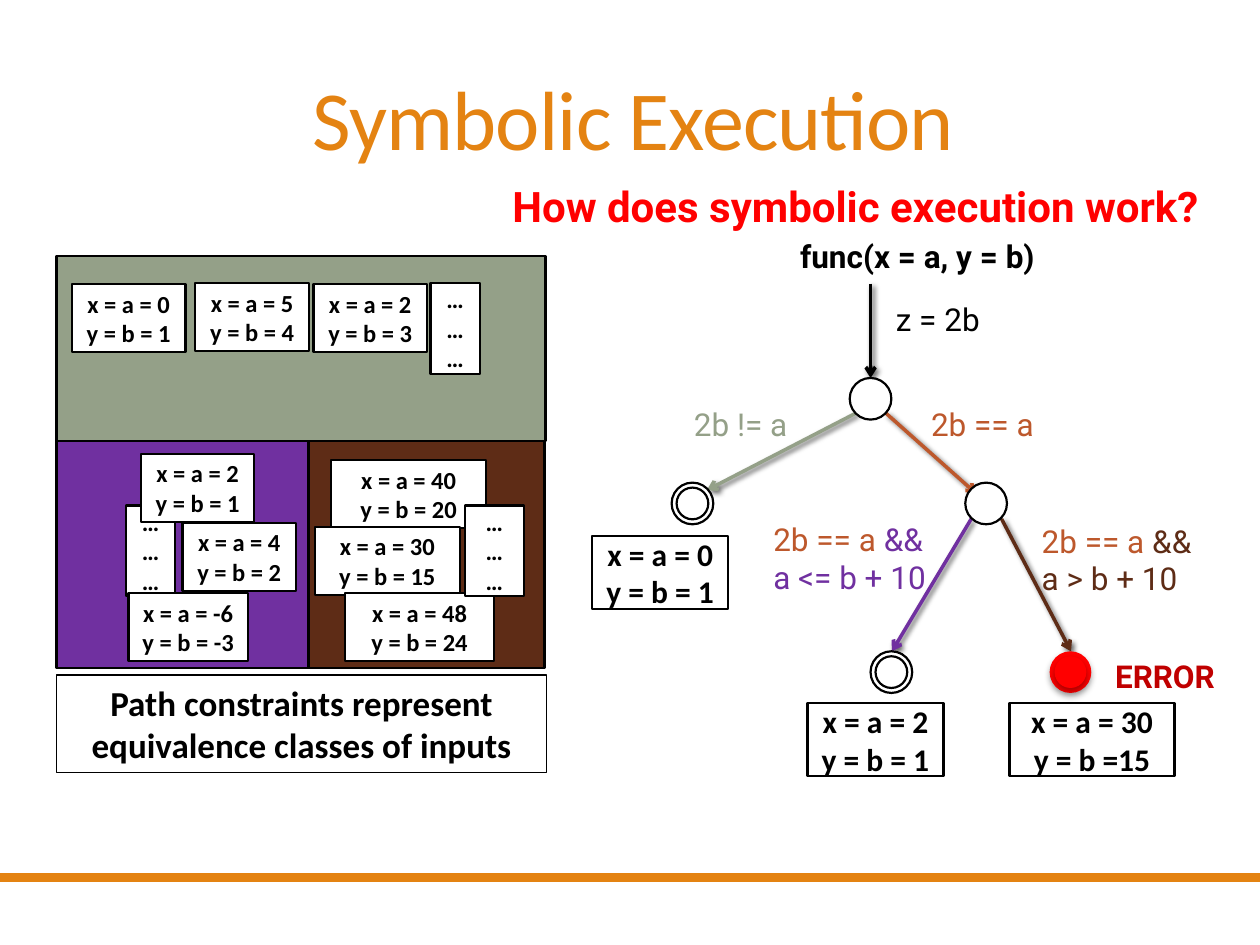
import pptx
import pptx.util
import pptx.dml.color
import pptx.enum.shapes
import pptx.enum.text
import pptx.oxml
import pptx.oxml.ns
from pptx.util import Cm

SHAPE = pptx.enum.shapes.MSO_SHAPE
ANCHOR = pptx.enum.text.MSO_ANCHOR
ALIGN = pptx.enum.text.PP_ALIGN
AUTO = pptx.enum.text.MSO_AUTO_SIZE

BLACK, WHITE, RED, DARK_RED = "000000", "FFFFFF", "FF0000", "C00000"
ORANGE, RUST = "E48312", "BD582C"
SAGE, PURPLE, BROWN = "94A088", "7030A0", "5E2C16"
NODE = 0.84
RING = 0.1


def color(value):
    return pptx.dml.color.RGBColor.from_string(value)


def add_shadow(sp, alpha, blur, dist, angle):
    ns = pptx.oxml.ns.nsdecls("a")
    effect = pptx.oxml.parse_xml(
        f'<a:effectLst {ns}><a:outerShdw blurRad="{int(blur * 12700)}" '
        f'dist="{int(dist * 12700)}" dir="{angle * 60000}" rotWithShape="0">'
        f'<a:srgbClr val="{BLACK}"><a:alpha val="{alpha * 1000}"/></a:srgbClr>'
        f'</a:outerShdw></a:effectLst>')
    for old in sp._element.spPr.findall(pptx.oxml.ns.qn("a:effectLst")):
        sp._element.spPr.remove(old)
    sp._element.spPr.append(effect)


def add_run(p, text, size, font, fill, bold=False):
    r = p.add_run()
    r.text = text
    r.font.size = pptx.util.Pt(size)
    r.font.name = font
    r.font.bold = bold
    r.font.color.rgb = color(fill)
    return r


def paragraphs(tf, count):
    return [tf.paragraphs[0]] + [tf.add_paragraph() for _ in range(count - 1)]


def add_title(s, text):
    sp = s.shapes.title
    sp.left, sp.top, sp.width, sp.height = Cm(2.29), Cm(-0.53), Cm(20.96), Cm(4.04)
    tf = sp.text_frame
    tf.auto_size = AUTO.NONE
    tf.vertical_anchor = ANCHOR.BOTTOM
    p = tf.paragraphs[0]
    p.alignment = ALIGN.CENTER
    p.line_spacing = 0.85
    r = add_run(p, text, 48, "Calibri", ORANGE)
    r._r.get_or_add_rPr().set("spc", "-50")


def add_shape(s, kind, x, y, w, h, fill, line=1.25):
    sp = s.shapes.add_shape(kind, Cm(x), Cm(y), Cm(w), Cm(h))
    sp.shadow.inherit = False
    if fill:
        sp.fill.solid()
        sp.fill.fore_color.rgb = color(fill)
    else:
        sp.fill.background()
    if line:
        sp.line.color.rgb = color(BLACK)
        sp.line.width = pptx.util.Pt(line)
    else:
        sp.line.fill.background()
    return sp


def add_box(s, x, y, w, h, lines, size, fill=WHITE, line=1.25, anchor=ANCHOR.MIDDLE):
    sp = add_shape(s, SHAPE.RECTANGLE, x, y, w, h, fill, line)
    tf = sp.text_frame
    tf.word_wrap = True
    tf.vertical_anchor = anchor
    for p, text in zip(paragraphs(tf, len(lines)), lines):
        p.alignment = ALIGN.CENTER
        add_run(p, text, size, "Calibri", BLACK, True)


def add_label(s, x, y, w, h, lines, size=18, bold=False):
    tf = s.shapes.add_textbox(Cm(x), Cm(y), Cm(w), Cm(h)).text_frame
    tf.word_wrap = False
    tf.auto_size = AUTO.SHAPE_TO_FIT_TEXT
    for p, runs in zip(paragraphs(tf, len(lines)), lines):
        for text, fill in runs:
            add_run(p, text, size, "Roboto", fill, bold)


def add_arrow(s, x1, y1, x2, y2, fill):
    c = s.shapes.add_connector(pptx.enum.shapes.MSO_CONNECTOR.STRAIGHT,
                               Cm(x1), Cm(y1), Cm(x2), Cm(y2))
    c.line.color.rgb = color(fill)
    c.line.width = pptx.util.Pt(2)
    ns = pptx.oxml.ns.nsdecls("a")
    c.line._get_or_add_ln().append(
        pptx.oxml.parse_xml(f'<a:tailEnd {ns} type="arrow"/>'))
    add_shadow(c, 60, 3, 2, 45)


def add_node(s, x, y, double=False, error=False):
    for inset in (0, RING) if double else (0,):
        size = NODE - 2 * inset
        sp = add_shape(s, SHAPE.FLOWCHART_CONNECTOR, x + inset, y + inset, size, size,
                       RED if error else WHITE, None if error else 1.25)
        if error:
            add_shadow(sp, 32, 3.5, 2.2, 90)


def add_tree(s):
    for arrow in [
        (17.55, 5.72, 17.55, 7.62, BLACK),
        (17.25, 8.33, 14.25, 9.88, SAGE),
        (17.86, 8.33, 19.69, 9.96, RUST),
        (19.58, 10.46, 17.98, 13.13, PURPLE),
        (20.19, 10.46, 21.59, 13.13, BROWN),
    ]:
        add_arrow(s, *arrow)
    add_node(s, 17.13, 7.62)
    add_node(s, 19.46, 9.73)
    add_node(s, 13.54, 9.73, double=True)
    add_node(s, 17.55, 13.13, double=True)
    add_node(s, 21.16, 13.13, double=True, error=True)

    add_label(s, 10.08, 3.51, 14.5, 1.27,
              [[("How does symbolic execution work?", RED)]], 24, True)
    add_label(s, 15.88, 4.65, 5.28, 1.02, [[("func(x = a, y = b)", BLACK)]], bold=True)
    add_label(s, 17.81, 5.92, 2.24, 1.02, [[("z = 2b", BLACK)]])
    add_label(s, 13.74, 8.05, 2.41, 1.02, [[("2b != a", SAGE)]])
    add_label(s, 18.52, 8.05, 2.6, 1.02, [[("2b == a", RUST)]])
    add_label(s, 15.34, 10.36, 3.73, 1.8,
              [[("2b == a ", RUST), ("&&", PURPLE)], [("a <= b + 10", PURPLE)]])
    add_label(s, 20.75, 10.39, 3.73, 1.8,
              [[("2b == a ", RUST), ("&&", BROWN)], [("a > b + 10", BROWN)]])
    add_label(s, 22.23, 13.13, 2.54, 1.02, [[("ERROR", DARK_RED)]], bold=True)

    for x, y, w, lines in [
        (11.94, 10.8, 2.74, ["x = a = 0", "y = b = 1"]),
        (16.28, 14.17, 2.74, ["x = a = 2", "y = b = 1"]),
        (20.35, 14.17, 3.33, ["x = a = 30", "y = b =15"]),
    ]:
        add_box(s, x, y, w, 1.48, lines, 18)


def add_classes(s):
    for x, y, w, h, fill in [
        (1.14, 8.89, 5.08, 4.57, PURPLE),
        (1.14, 5.16, 9.86, 3.73, SAGE),
        (6.22, 8.89, 4.76, 4.57, BROWN),
    ]:
        add_shape(s, SHAPE.RECTANGLE, x, y, w, h, fill)
    dots = ["………"]
    for x, y, w, lines in [
        (1.45, 5.73, 2.29, ["x = a = 0", "y = b = 1"]),
        (6.32, 5.73, 2.29, ["x = a = 2", "y = b = 3"]),
        (3.94, 5.71, 2.29, ["x = a = 5", "y = b = 4"]),
        (8.68, 5.71, 0.99, dots),
        (2.54, 10.19, 0.99, dots),
        (2.84, 9.15, 2.29, ["x = a = 2", "y = b = 1"]),
        (3.68, 10.54, 2.29, ["x = a = 4", "y = b = 2"]),
        (2.59, 11.96, 2.41, ["x = a = -6", "y = b = -3"]),
        (6.68, 9.28, 3.12, ["x = a = 40", "y = b = 20"]),
        (6.35, 10.62, 2.92, ["x = a = 30", "y = b = 15"]),
        (6.96, 11.96, 3, ["x = a = 48", "y = b = 24"]),
        (9.37, 10.19, 1.19, dots),
    ]:
        add_box(s, x, y, w, 1.83 if lines is dots else 1.37, lines, 14)
    add_box(s, 1.14, 13.61, 9.88, 1.96,
            ["Path constraints represent", "equivalence classes of inputs"],
            20, None, 0.75, ANCHOR.TOP)


def main():
    prs = pptx.Presentation()
    prs.slide_width, prs.slide_height = Cm(25.4), Cm(19.05)
    s = prs.slides.add_slide(prs.slide_layouts[5])
    add_shape(s, SHAPE.RECTANGLE, 0, 17.6, 25.4, 0.18, ORANGE, None)
    add_title(s, "Symbolic Execution")
    add_tree(s)
    add_classes(s)
    prs.save("out.pptx")


if __name__ == "__main__":
    main()
